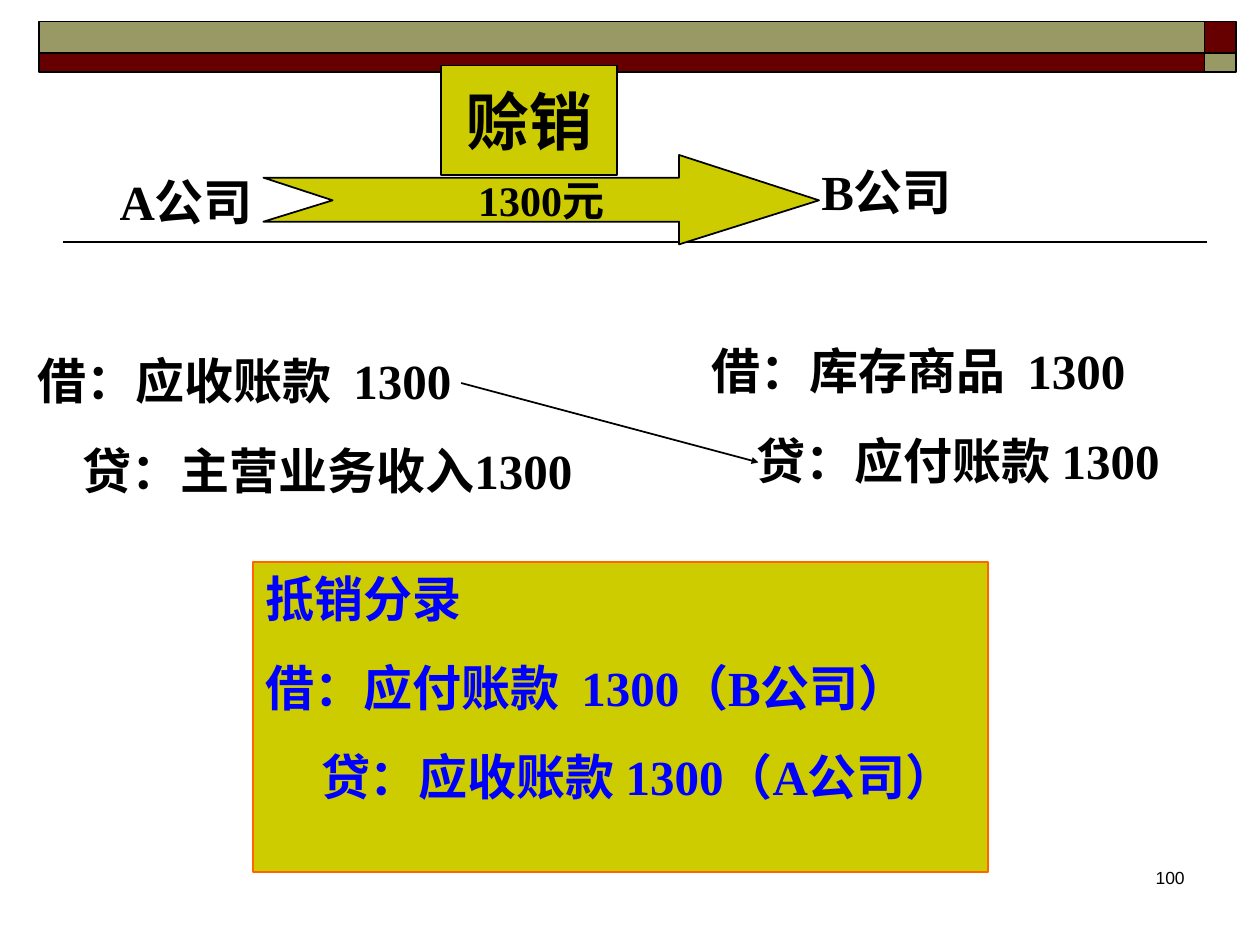
import pptx
import pptx.util
import pptx.dml.color
import pptx.enum.shapes
import pptx.enum.text
import pptx.oxml.ns
from lxml import etree

Inches, Pt = pptx.util.Inches, pptx.util.Pt
ALIGN = pptx.enum.text.PP_ALIGN
ANCHOR = pptx.enum.text.MSO_ANCHOR
qn = pptx.oxml.ns.qn

COLORS = {
    "black": "000000",
    "maroon": "660000",
    "olive": "999966",
    "mustard": "CCCC00",
    "orange": "FF6600",
    "blue": "0000FF",
}
ENTRY_GAP = 17.5
SECTION_GAP = 69


def rgb(name):
    return pptx.dml.color.RGBColor.from_string(COLORS[name])


class SlideBuilder:
    def __init__(self, slide):
        self.slide = slide
        self.font = "Times New Roman"

    def style(self, sp, fill, line):
        sp.shadow.inherit = False
        sp.fill.solid()
        sp.fill.fore_color.rgb = rgb(fill)
        sp.line.color.rgb = rgb(line)
        sp.line.width = Pt(1)
        return sp

    def rect(self, x, y, w, h, fill, line="black"):
        sp = self.slide.shapes.add_shape(
            pptx.enum.shapes.MSO_SHAPE.RECTANGLE,
            Inches(x), Inches(y), Inches(w), Inches(h))
        return self.style(sp, fill, line)

    def outline(self, points, fill):
        start, *rest = [(Inches(x), Inches(y)) for x, y in points]
        fb = self.slide.shapes.build_freeform(*start)
        fb.add_line_segments(rest, close=True)
        return self.style(fb.convert_to_shape(), fill, "black")

    def line(self, start, end, arrow=False):
        cn = self.slide.shapes.add_connector(
            pptx.enum.shapes.MSO_CONNECTOR.STRAIGHT,
            *(Inches(v) for v in (*start, *end)))
        cn.line.color.rgb = rgb("black")
        cn.line.width = Pt(1)
        if arrow:
            ln = cn._element.spPr.find(qn("a:ln"))
            etree.SubElement(ln, qn("a:tailEnd"), type="triangle", w="sm", len="sm")
        etree.SubElement(cn._element.spPr, qn("a:effectLst"))

    def textbox(self, x, y, w, h):
        return self.slide.shapes.add_textbox(
            Inches(x), Inches(y), Inches(w), Inches(h))

    def set_font(self, p, size, color, bold=True, name=None):
        p.font.name = name or self.font
        p.font.size = Pt(size)
        p.font.bold = bold
        p.font.color.rgb = rgb(color)

    def label(self, sp, text, size, align=ALIGN.CENTER, anchor=ANCHOR.MIDDLE,
              wrap=False, **font):
        tf = sp.text_frame
        tf.word_wrap = wrap
        tf.vertical_anchor = anchor
        p = tf.paragraphs[0]
        p.text = text
        p.alignment = align
        self.set_font(p, size, "black", **font)

    def entries(self, sp, lines, color="black"):
        """Write lines given as (text, first-line indent, space before)."""
        tf = sp.text_frame
        tf.word_wrap = True
        tf.vertical_anchor = ANCHOR.TOP
        for i, (text, indent, before) in enumerate(lines):
            p = tf.add_paragraph() if i else tf.paragraphs[0]
            p.text = text
            p.alignment = ALIGN.LEFT
            p.space_before = Pt(before)
            pPr = p._p.get_or_add_pPr()
            pPr.set("marL", "0")
            pPr.set("indent", str(Inches(indent)))
            self.set_font(p, 28, color)


def main():
    prs = pptx.Presentation()
    prs.slide_width, prs.slide_height = Inches(10), Inches(7.5)
    s = SlideBuilder(prs.slides.add_slide(prs.slide_layouts[6]))

    # Header band and title rule
    s.line((9.58, 1.92), (0.5, 1.92))
    for y, h, wide, corner in ((0.17, 0.25, "olive", "maroon"),
                               (0.42, 0.15, "maroon", "olive")):
        s.rect(0.31, y, 9.25, h, wide)
        s.rect(9.56, y, 0.25, h, corner)

    # Journal entries of the two companies
    s.entries(s.textbox(0.2, 1.31, 4.81, 2.7), [
        ("A公司", 0.65, 0),
        ("借：应收账款  1300", 0, SECTION_GAP),
        ("贷：主营业务收入1300", 0.36, ENTRY_GAP),
    ])
    s.entries(s.textbox(5.55, 1.23, 3.86, 2.7), [
        ("B公司", 0.87, 0),
        ("借：库存商品  1300", 0, SECTION_GAP),
        ("贷：应付账款 1300", 0.36, ENTRY_GAP),
    ])
    s.line((3.66, 3.04), (6.02, 3.67), arrow=True)

    # Elimination entry
    s.entries(s.rect(2.01, 4.46, 5.83, 2.46, "mustard", "orange"), [
        ("抵销分录", 0, 0),
        ("借：应付账款  1300（B公司）", 0, ENTRY_GAP),
        ("贷：应收账款 1300（A公司）", 0.44, ENTRY_GAP),
    ], "blue")

    # Credit sale from A to B
    sale_arrow = s.outline([
        (2.09, 1.41), (5.39, 1.41), (5.39, 1.23), (6.5, 1.59),
        (5.39, 1.94), (5.39, 1.76), (2.09, 1.76), (2.64, 1.59),
    ], "mustard")
    s.label(sale_arrow, "1300元", 24)
    s.label(s.rect(3.5, 0.52, 1.4, 0.87, "mustard"), "赊销", 36)

    s.label(s.textbox(7.42, 6.83, 2.08, 0.5), "100", 10, ALIGN.RIGHT,
            ANCHOR.TOP, wrap=True, bold=False, name="Arial")
    prs.save("out.pptx")


if __name__ == "__main__":
    main()
